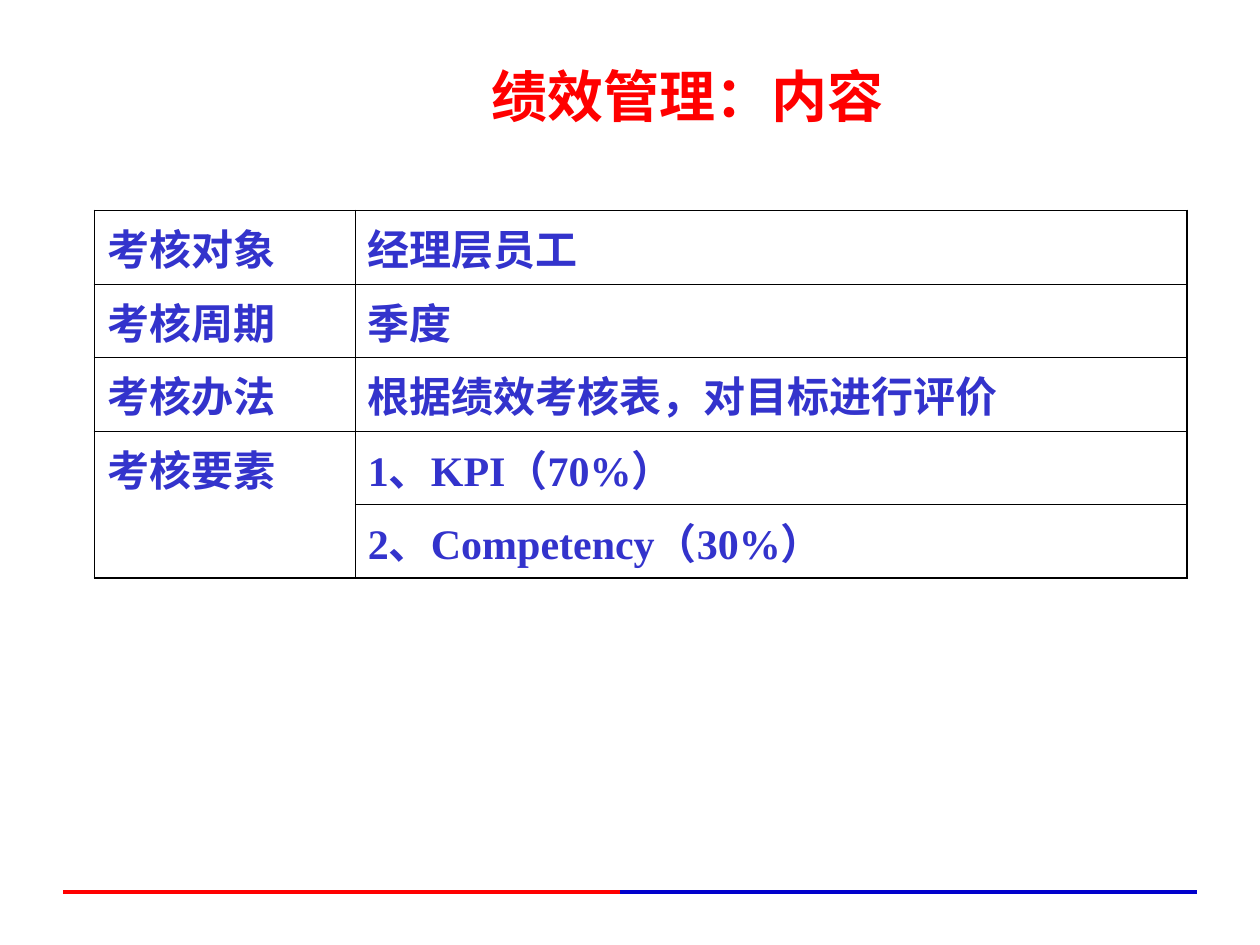
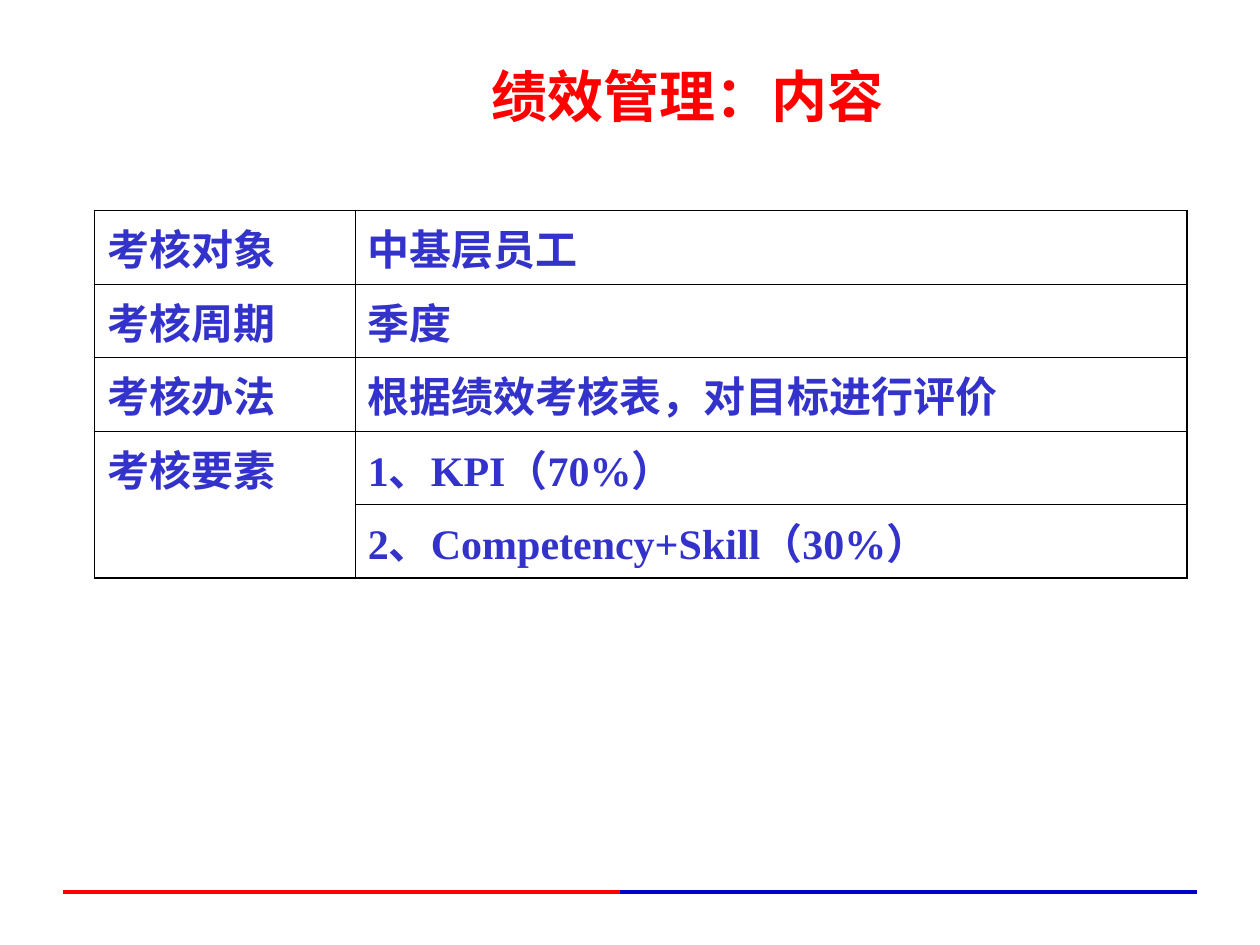
"""Build two slides on performance review content for managers and for staff."""
from lxml import etree
from pptx import Presentation, util as u
from pptx.dml.color import RGBColor
from pptx.enum import lang, shapes, text
from pptx.oxml import parse_xml
from pptx.oxml.ns import nsdecls, qn

RED, BLUE, INDIGO, BLACK = "FF0000", "0000CC", "3333CC", "000000"
OUTER, INNER = 1.08, 0.45
RULE_Y = 7.08
ROW_HEIGHT = 0.58
COLUMN_WIDTHS = (2.07, 6.6)
LABELS = ("考核对象", "考核周期", "考核办法", "考核要素", "")
AUDIENCES = (("经理层员工", "Competency"), ("中基层员工", "Competency+Skill"))


def write(frame, words, size, font, color, align=text.PP_ALIGN.LEFT, spacing=None):
    paragraph = frame.paragraphs[0]
    paragraph.alignment = align
    paragraph.line_spacing = spacing
    run = paragraph.add_run()
    run.text = words
    run.font.size, run.font.name, run.font.bold = u.Pt(size), font, True
    run.font.language_id = lang.MSO_LANGUAGE_ID.SIMPLIFIED_CHINESE
    run.font.color.rgb = RGBColor.from_string(color)
    return run


def add_borders(cell, widths):
    properties = cell._tc.get_or_add_tcPr()
    for index, (side, width) in enumerate(zip("LRTB", widths)):
        properties.insert(index, parse_xml(
            f'<a:ln{side} {nsdecls("a")} w="{u.Pt(width)}"><a:solidFill>'
            f'<a:srgbClr val="{BLACK}"/></a:solidFill></a:ln{side}>'))


deck = Presentation()
deck.slide_width, deck.slide_height = u.Inches(10), u.Inches(7.5)

for audience, ability in AUDIENCES:
    slide = deck.slides.add_slide(deck.slide_layouts[6])

    for start, end, color in ((0.5, 4.92, RED), (4.92, 9.5, BLUE)):
        rule = slide.shapes.add_connector(
            shapes.MSO_CONNECTOR.STRAIGHT,
            u.Inches(start), u.Inches(RULE_Y), u.Inches(end), u.Inches(RULE_Y))
        rule.line.color.rgb = RGBColor.from_string(color)
        rule.line.width = u.Pt(2.25)
        etree.SubElement(rule._element.spPr, qn("a:effectLst"))

    answers = (audience, "季度", "根据绩效考核表，对目标进行评价",
               "1、KPI（70%）", f"2、{ability}（30%）")
    last = len(LABELS) - 1
    review = slide.shapes.add_table(
        len(LABELS), 2, u.Inches(0.75), u.Inches(1.67),
        u.Inches(sum(COLUMN_WIDTHS)), u.Inches(ROW_HEIGHT * len(LABELS))).table
    review.first_row = review.horz_banding = False
    for column, width in zip(review.columns, COLUMN_WIDTHS):
        column.width = u.Inches(width)
    for row, pair in enumerate(zip(LABELS, answers)):
        review.rows[row].height = u.Inches(ROW_HEIGHT)
        for column, words in enumerate(pair):
            cell = review.cell(row, column)
            cell.fill.background()
            at_bottom = row == last or (column == 0 and row == last - 1)
            add_borders(cell, [OUTER if edge else INNER for edge in
                               (column == 0, column == 1, row == 0, at_bottom)])
            if words:
                write(cell.text_frame, words, 24, "Times New Roman", INDIGO)
    review.cell(last - 1, 0).merge(review.cell(last, 0))

    heading = slide.shapes.add_textbox(
        u.Inches(2), u.Inches(0.33), u.Inches(6.92), u.Inches(0.74)).text_frame
    heading.word_wrap = True
    heading.auto_size = text.MSO_AUTO_SIZE.SHAPE_TO_FIT_TEXT
    title = write(heading, "绩效管理：内容", 32, "Arial", RED,
                  align=text.PP_ALIGN.CENTER, spacing=1.2)
    title._r.rPr.find(qn("a:solidFill")).addnext(parse_xml(
        f'<a:effectLst {nsdecls("a")}><a:outerShdw dist="35921" dir="2700000">'
        '<a:srgbClr val="C0C0C0"/></a:outerShdw></a:effectLst>'))

deck.save("out.pptx")
